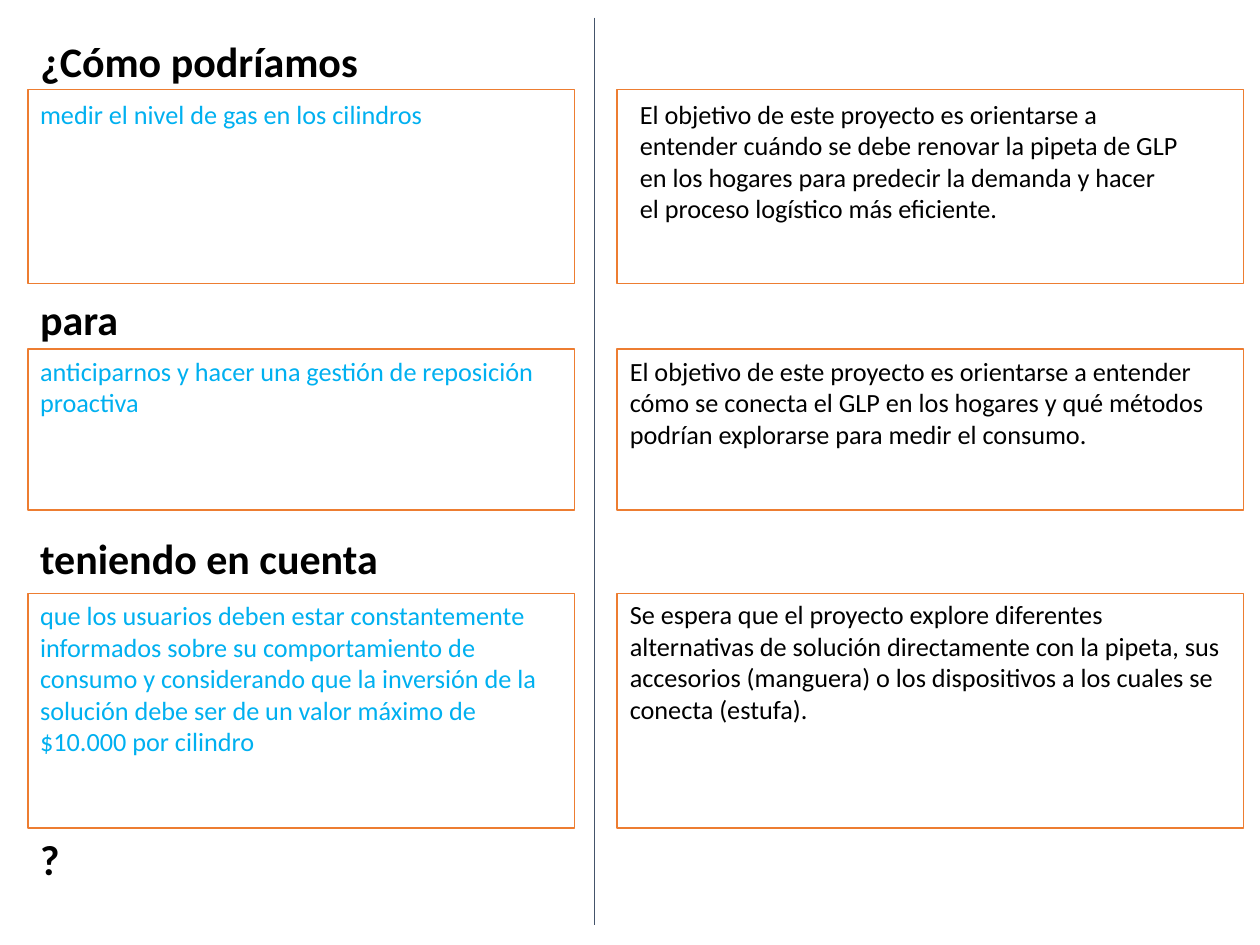
from lxml.etree import SubElement
from pptx import Presentation
from pptx.dml.color import RGBColor as RGB
from pptx.enum.shapes import MSO_CONNECTOR as Conn, MSO_SHAPE as Shape
from pptx.enum.text import MSO_ANCHOR as Anchor, MSO_AUTO_SIZE as Auto, PP_ALIGN as Align
from pptx.oxml.ns import qn
from pptx.util import Inches, Pt

BLACK, WHITE, BLUE, ORANGE, SLATE = "000000", "FFFFFF", "00B0F0", "ED7D31", "44546A"
LEFT, LEFT_W = 0.22, 4.34
RIGHT, RIGHT_W = 4.9, 4.97


def color(code):
    return RGB.from_string(code)


class Deck:
    font = "Calibri"
    head_size, body_size = 24, 15

    def __init__(self, prs):
        self.slide = prs.slides.add_slide(prs.slide_layouts[5])
        self.shapes = self.slide.shapes

    def label(self, frame, text, size, tint, bold=False):
        frame.word_wrap = True
        frame.auto_size = Auto.NONE
        frame.vertical_anchor = Anchor.TOP
        para = frame.paragraphs[0]
        para.alignment = Align.LEFT
        run = para.add_run()
        run.text = text
        font = run.font
        font.name, font.size, font.bold = self.font, Pt(size), bold
        font.color.rgb = color(tint)

    def title(self, text, x, y, w, h):
        box = self.shapes.title
        box.left, box.top, box.width, box.height = map(Inches, (x, y, w, h))
        self.label(box.text_frame, text, self.head_size, BLACK, True)

    def head(self, text, x, y, w, h):
        box = self.shapes.add_textbox(*map(Inches, (x, y, w, h)))
        self.label(box.text_frame, text, self.head_size, BLACK, True)

    def body(self, text, x, y, w, h, tint):
        box = self.shapes.add_textbox(*map(Inches, (x, y, w, h)))
        self.label(box.text_frame, text, self.body_size, tint)

    def panel(self, x, y, w, h):
        rect = self.shapes.add_shape(Shape.RECTANGLE, *map(Inches, (x, y, w, h)))
        rect.shadow.inherit = False
        rect.fill.solid()
        rect.fill.fore_color.rgb = color(WHITE)
        rect.line.color.rgb = color(ORANGE)
        rect.line.width = Pt(1)

    def rule(self, x, top, end):
        line = self.shapes.add_connector(
            Conn.STRAIGHT, *map(Inches, (x, top, x, end)))
        line.line.color.rgb = color(SLATE)
        line.line.width = Pt(0.75)
        SubElement(line._element.spPr, qn("a:effectLst"))


# Each row: panel top and height, then (text, x, y, w, h) for each side
ROWS = [
    (0.71, 1.54,
     ("medir el nivel de gas en los cilindros", LEFT, 0.73, LEFT_W, 0.72),
     ("El objetivo de este proyecto es orientarse a entender cuándo se debe "
      "renovar la pipeta de GLP en los hogares para predecir la demanda y "
      "hacer el proceso logístico más eficiente.", 4.98, 0.73, 4.47, 1.28)),
    (2.77, 1.28,
     ("anticiparnos y hacer una gestión de reposición proactiva",
      LEFT, 2.77, LEFT_W, 0.63),
     ("El objetivo de este proyecto es orientarse a entender cómo se conecta "
      "el GLP en los hogares y qué métodos podrían explorarse para medir el "
      "consumo.", RIGHT, 2.77, 4.84, 1.28)),
    (4.71, 1.86,
     ("que los usuarios deben estar constantemente informados sobre su "
      "comportamiento de consumo y considerando que la inversión de la "
      "solución debe ser de un valor máximo de $10.000 por cilindro",
      LEFT, 4.71, LEFT_W, 1.86),
     ("Se espera que el proyecto explore diferentes alternativas de solución "
      "directamente con la pipeta, sus accesorios (manguera) o los "
      "dispositivos a los cuales se conecta (estufa).",
      RIGHT, 4.7, RIGHT_W, 1.35)),
]


def main():
    prs = Presentation()
    prs.slide_width, prs.slide_height = Inches(10), Inches(7.5)
    deck = Deck(prs)

    # Headings of the challenge question
    deck.title("¿Cómo podríamos", LEFT, 0.23, 6.79, 0.5)
    deck.head("para", LEFT, 2.28, 3.18, 0.5)
    deck.head("teniendo en cuenta", LEFT, 4.18, 9.65, 0.5)

    # Answers on the left, goals on the right
    for top, high, answer, goal in ROWS:
        deck.panel(LEFT, top, LEFT_W, high)
        deck.body(*answer, BLUE)
        deck.panel(RIGHT, top, RIGHT_W, high)
        deck.body(*goal, BLACK)

    # Closing mark and divider
    deck.head("?", LEFT, 6.57, 6.79, 0.5)
    deck.rule(4.72, 0.14, 7.34)

    prs.save("out.pptx")


if __name__ == "__main__":
    main()
